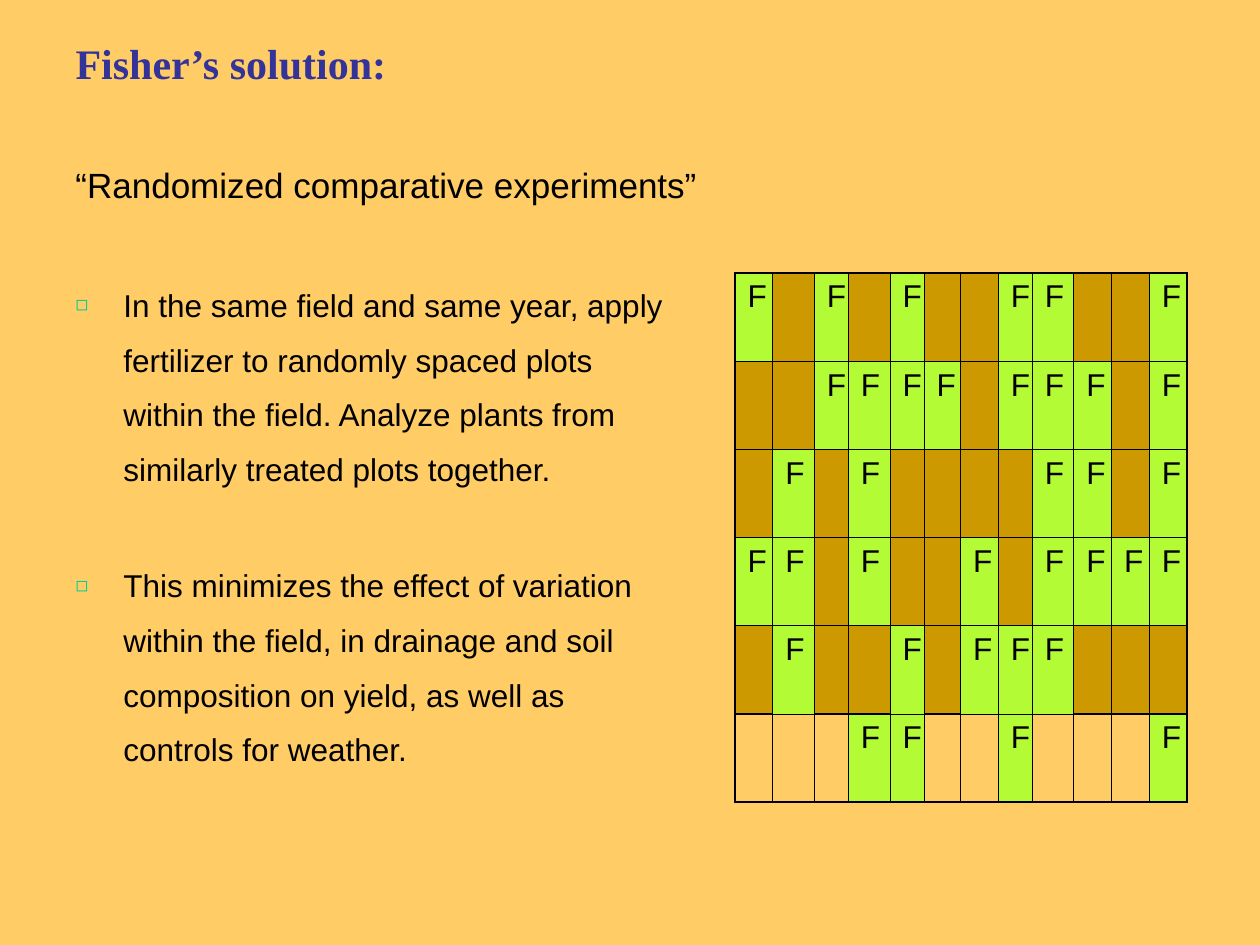
from lxml import etree
from pptx import Presentation
from pptx import util as u
from pptx.dml.color import RGBColor
from pptx.enum import shapes, text
from pptx.oxml import ns

BACKGROUND = RGBColor(0xFF, 0xCC, 0x66)
TITLE_BLUE = RGBColor(0x33, 0x33, 0x99)
BULLET_GREEN = RGBColor(0x00, 0xCC, 0x99)
SOIL = RGBColor(0xCC, 0x99, 0x00)
FERTILIZED = RGBColor(0xB3, 0xFB, 0x35)
BLACK = RGBColor(0x00, 0x00, 0x00)

GRID = u.Inches(1) / 12

TITLE = "Fisher’s solution:"
SUBTITLE = "“Randomized comparative experiments”"
BULLETS = [
    "In the same field and same year, apply fertilizer to randomly spaced plots "
    "within the field. Analyze plants from similarly treated plots together.",
    "This minimizes the effect of variation within the field, in drainage and soil "
    "composition on yield, as well as controls for weather.",
]
PLOTS = [
    "F.F.F..FF..F",
    "..FFFF.FFF.F",
    ".F.F....FF.F",
    "FF.F..F.FFFF",
    ".F..F.FFF...",
    "...FF..F...F",
]
COLUMN_WIDTHS = [0.3, 0.33, 0.27, 0.33, 0.27, 0.29, 0.3, 0.27, 0.33, 0.3, 0.3, 0.3]
ROW_HEIGHT = 0.7
INNER_BORDER = 0.45
OUTER_BORDER = 1.08

TITLE_FONT = {"name": "Times New Roman", "size": u.Pt(24), "bold": True}
SUBTITLE_FONT = {"name": "Arial", "size": u.Pt(20)}
BODY_FONT = {"name": "Arial", "size": u.Pt(18)}
FRAME_FORMAT = {
    "word_wrap": True,
    "auto_size": text.MSO_AUTO_SIZE.NONE,
    "vertical_anchor": text.MSO_ANCHOR.TOP,
}


def grid_box(*cells):
    return [round(cell * GRID) for cell in cells]


def apply_format(target, values):
    for name, value in values.items():
        setattr(target, name, value)


def place(shape, box):
    apply_format(shape, dict(zip(("left", "top", "width", "height"), box)))


def write(paragraph, words, font, color=BLACK, alignment=text.PP_ALIGN.LEFT):
    paragraph.alignment = alignment
    run = paragraph.add_run()
    run.text = words
    apply_format(run.font, font)
    run.font.color.rgb = color


def add_bullet(paragraph):
    properties = paragraph._p.get_or_add_pPr()
    properties.set("marL", str(u.Inches(0.38)))
    properties.set("indent", str(-u.Inches(0.38)))
    color = etree.SubElement(properties, ns.qn("a:buClr"))
    etree.SubElement(color, ns.qn("a:srgbClr"), val=str(BULLET_GREEN))
    etree.SubElement(properties, ns.qn("a:buSzPct"), val="65000")
    etree.SubElement(properties, ns.qn("a:buFont"), typeface="Arial")
    etree.SubElement(properties, ns.qn("a:buChar"), char="◻")


def fill_line(shape, words, font, color=BLACK):
    apply_format(shape.text_frame, FRAME_FORMAT)
    write(shape.text_frame.paragraphs[0], words, font, color)


def fill_list(shape, items):
    frame = shape.text_frame
    apply_format(frame, FRAME_FORMAT)
    for index, item in enumerate(items):
        paragraph = frame.add_paragraph() if index else frame.paragraphs[0]
        spacing = {"line_spacing": 1.45, "space_before": u.Pt(35 if index else 0)}
        apply_format(paragraph, spacing)
        add_bullet(paragraph)
        write(paragraph, item, BODY_FONT)


def add_field(slide, box):
    field = slide.shapes.add_shape(shapes.MSO_SHAPE.RECTANGLE, *box)
    field.shadow.inherit = False
    field.fill.solid()
    field.fill.fore_color.rgb = SOIL
    field.line.color.rgb = BLACK
    field.line.width = u.Pt(0.75)


def set_borders(cell, outer_sides):
    properties = cell._tc.get_or_add_tcPr()
    for position, side in enumerate("LRTB"):
        width = OUTER_BORDER if side in outer_sides else INNER_BORDER
        line = etree.Element(ns.qn(f"a:ln{side}"), w=str(u.Pt(width)))
        fill = etree.SubElement(line, ns.qn("a:solidFill"))
        etree.SubElement(fill, ns.qn("a:srgbClr"), val=str(BLACK))
        properties.insert(position, line)


def add_plot_table(slide, box):
    row_count, column_count = len(PLOTS), len(PLOTS[0])
    table = slide.shapes.add_table(row_count, column_count, *box).table
    apply_format(table, {"first_row": False, "horz_banding": False})
    for column, width in zip(table.columns, COLUMN_WIDTHS):
        column.width = u.Inches(width)
    for row_index, plots in enumerate(PLOTS):
        table.rows[row_index].height = u.Inches(ROW_HEIGHT)
        for column_index, plot in enumerate(plots):
            cell = table.cell(row_index, column_index)
            if plot == "F":
                cell.fill.solid()
                cell.fill.fore_color.rgb = FERTILIZED
                paragraph = cell.text_frame.paragraphs[0]
                write(paragraph, plot, BODY_FONT, alignment=text.PP_ALIGN.CENTER)
            else:
                cell.fill.background()
            edges = {
                "L": column_index == 0,
                "R": column_index == column_count - 1,
                "T": row_index == 0,
                "B": row_index == row_count - 1,
            }
            set_borders(cell, [side for side, outer in edges.items() if outer])


def main():
    presentation = Presentation()
    presentation.slide_width = u.Inches(10)
    presentation.slide_height = u.Inches(7.5)
    slide = presentation.slides.add_slide(presentation.slide_layouts[1])
    slide.background.fill.solid()
    slide.background.fill.fore_color.rgb = BACKGROUND

    title, body = slide.placeholders
    place(title, grid_box(6, 3, 108, 10))
    fill_line(title, TITLE, TITLE_FONT, TITLE_BLUE)
    place(body, grid_box(6, 25, 59, 62))
    fill_list(body, BULLETS)

    add_field(slide, grid_box(70, 26, 43, 42))
    add_plot_table(slide, grid_box(70, 26, 43, 50.4))
    subtitle = slide.shapes.add_textbox(*grid_box(6, 15, 108, 10))
    fill_line(subtitle, SUBTITLE, SUBTITLE_FONT)

    presentation.save("out.pptx")


if __name__ == "__main__":
    main()
